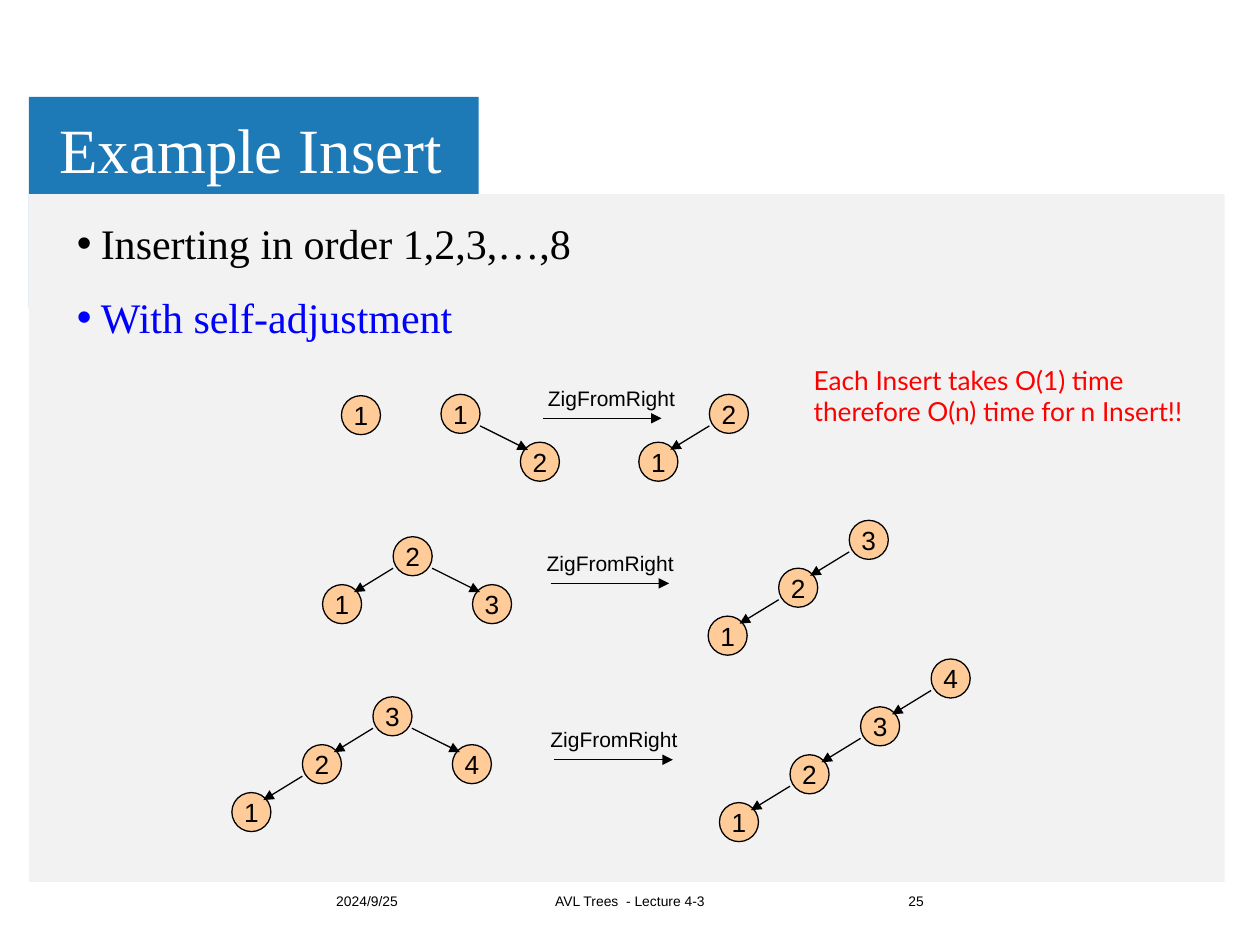
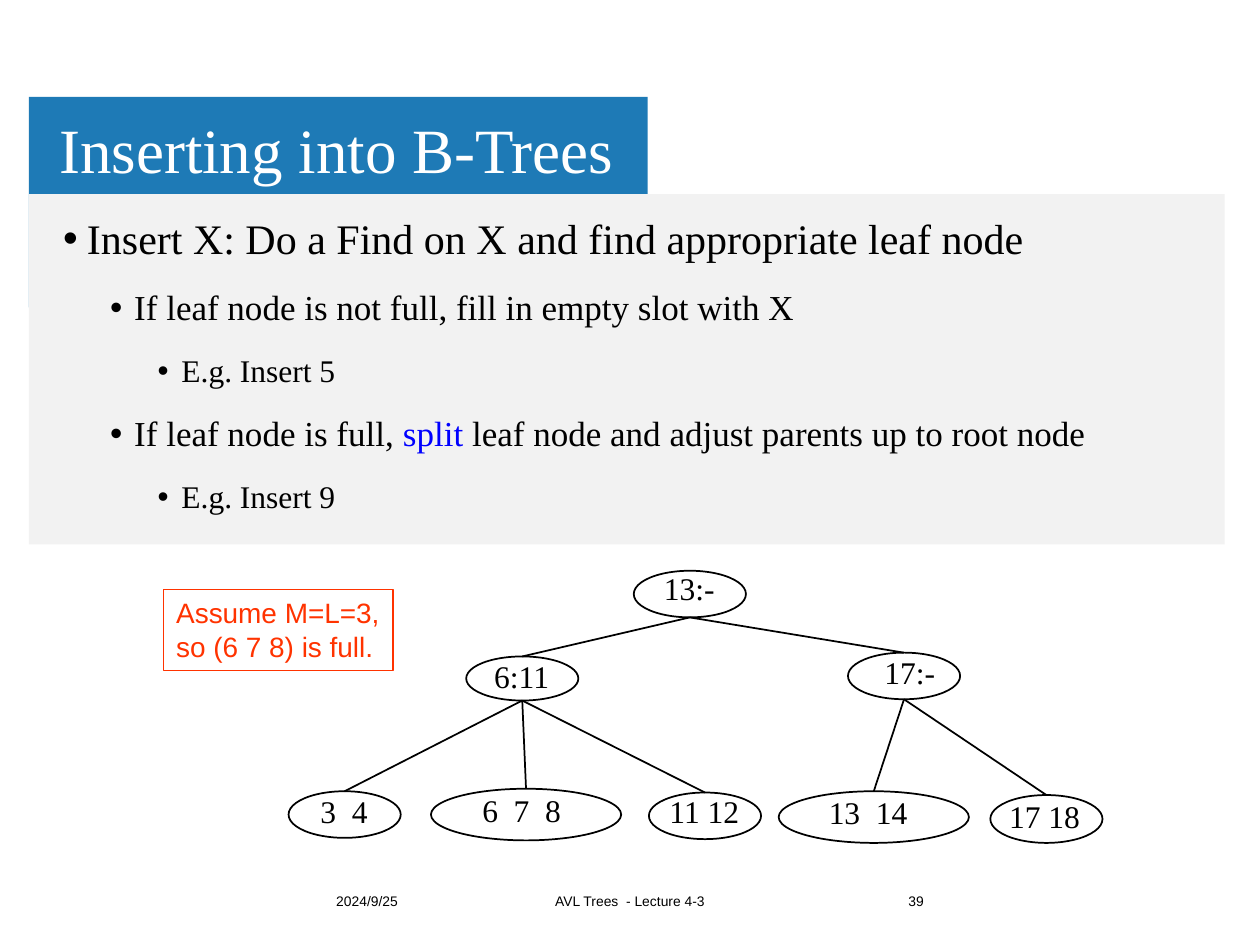
from dataclasses import dataclass
from typing import NamedTuple

import lxml.etree
import pptx
import pptx.dml.color
import pptx.enum.shapes
import pptx.enum.text
import pptx.oxml.ns
import pptx.util

Inches = pptx.util.Inches
Pt = pptx.util.Pt
RGBColor = pptx.dml.color.RGBColor
Align = pptx.enum.text.PP_ALIGN
Anchor = pptx.enum.text.MSO_ANCHOR
Shape = pptx.enum.shapes.MSO_SHAPE

BLACK = RGBColor(0x00, 0x00, 0x00)
WHITE = RGBColor(0xFF, 0xFF, 0xFF)
BAND_BLUE = RGBColor(0x1E, 0x7A, 0xB6)
PANEL_GREY = RGBColor(0xF2, 0xF2, 0xF2)
NODE_ORANGE = RGBColor(0xFF, 0xCC, 0x99)
BLUE = RGBColor(0x00, 0x00, 0xFF)
RED = RGBColor(0xFF, 0x00, 0x00)
ORANGE_RED = RGBColor(0xFF, 0x33, 0x00)

SERIF = "Times New Roman"
SANS = "Arial"
NOTE_FONT = "Lato"

BULLET_SIZES = (24, 20, 18)
BULLET_HANG = 0.19
LEVEL_STEP = 0.375

NODE_SIZE = 0.31
CHILD_DROP = 0.38
LEFT_STEP = 0.56
RIGHT_STEP = 0.63
EDGE_START = 0.25
EDGE_INSET = 0.06

LABEL_WIDTH = 0.82


class Frame(NamedTuple):
    left: float
    top: float
    width: float
    height: float


class Span(NamedTuple):
    text: str
    color: RGBColor = BLACK


class Bullet(NamedTuple):
    level: int
    spans: tuple[Span, ...]


class Tree(NamedTuple):
    """A root, its chain of left children and perhaps one right child."""
    left: float
    top: float
    left_chain: str
    right_child: str = ""


class Rotation(NamedTuple):
    label_left: float
    label_top: float
    arrow_left: float


@dataclass
class BTreeNode:
    frame: Frame
    keys: str
    label_center: float
    label_top: float
    children: tuple["BTreeNode", ...] = ()


def place(shape, frame: Frame) -> None:
    shape.left, shape.top, shape.width, shape.height = map(Inches, frame)


def format_text(box, font: str, size: float, color: RGBColor,
                align=Align.LEFT, spacing: float | None = None) -> None:
    for para in box.text_frame.paragraphs:
        para.alignment = align
        if spacing:
            para.line_spacing = spacing
        for span in para.runs:
            span.font.name = font
            span.font.size = Pt(size)
            span.font.color.rgb = color


def set_margins(box, side: float, end: float) -> None:
    frame = box.text_frame
    frame.margin_left = frame.margin_right = Inches(side)
    frame.margin_top = frame.margin_bottom = Inches(end)


def add_text(page, frame: Frame, text: str, font: str, size: float,
             color: RGBColor = BLACK, align=Align.LEFT,
             spacing: float | None = None, wrap: bool = True):
    box = page.shapes.add_textbox(*map(Inches, frame))
    box.text_frame.text = text
    box.text_frame.word_wrap = wrap
    format_text(box, font, size, color, align, spacing)
    return box


def add_shape(page, kind, frame: Frame, fill: RGBColor | None = None,
              line_width: float | None = None):
    shape = page.shapes.add_shape(kind, *map(Inches, frame))
    shape.shadow.inherit = False
    if fill is None:
        shape.fill.background()
    else:
        shape.fill.solid()
        shape.fill.fore_color.rgb = fill
    if line_width is None:
        shape.line.fill.background()
    else:
        shape.line.color.rgb = BLACK
        shape.line.width = Pt(line_width)
    return shape


def add_line(page, start: tuple[float, float], end: tuple[float, float],
             width: float, arrow: bool = False) -> None:
    line = page.shapes.add_connector(
        pptx.enum.shapes.MSO_CONNECTOR.STRAIGHT,
        *map(Inches, (*start, *end)))
    line.line.color.rgb = BLACK
    line.line.width = Pt(width)
    properties = line.element.spPr
    qn = pptx.oxml.ns.qn
    if arrow:
        outline = properties.find(qn("a:ln"))
        lxml.etree.SubElement(outline, qn("a:tailEnd"), type="triangle")
    lxml.etree.SubElement(properties, qn("a:effectLst"))


def add_page(deck, title: str, title_width: float, panel_height: float,
             number: int):
    """Add a page with its title band, grey panel, title and footer."""
    page = deck.slides.add_slide(deck.slide_layouts[1])
    add_shape(page, Shape.RECTANGLE, Frame(0.23, 0.77, title_width, 1.67), BAND_BLUE)
    add_shape(page, Shape.RECTANGLE, Frame(0.23, 1.54, 9.49, panel_height), PANEL_GREY)

    heading = page.shapes.title
    place(heading, Frame(0.4, 0.82, 6.28, 0.79))
    heading.text_frame.text = title
    heading.text_frame.auto_size = pptx.enum.text.MSO_AUTO_SIZE.NONE
    heading.text_frame.vertical_anchor = Anchor.MIDDLE
    set_margins(heading, 0.07, 0.04)
    format_text(heading, SERIF, 36, WHITE, spacing=0.9)
    for placeholder in list(page.placeholders):
        page.shapes.element.append(placeholder.element)  # in front of the bands

    footers = (
        (2.57, 1.27, "2024/9/25", Align.LEFT),
        (4.05, 1.9, "AVL Trees  - Lecture 4-3", Align.CENTER),
        (6.16, 1.27, str(number), Align.RIGHT),
    )
    for left, width, text, align in footers:
        box = add_text(page, Frame(left, 6.95, width, 0.4), text, SANS, 7.9, align=align)
        box.text_frame.vertical_anchor = Anchor.MIDDLE
    return page


def fill_body(page, frame: Frame, bullets: tuple[Bullet, ...],
              space_before: float, spacing: float) -> None:
    body = page.placeholders[1]
    place(body, frame)
    text_frame = body.text_frame
    text_frame.auto_size = pptx.enum.text.MSO_AUTO_SIZE.NONE
    for index, bullet in enumerate(bullets):
        para = text_frame.add_paragraph() if index else text_frame.paragraphs[0]
        para.level = bullet.level
        properties = para._p.get_or_add_pPr()
        indent = BULLET_HANG + bullet.level * LEVEL_STEP
        properties.set("marL", str(Inches(indent)))
        properties.set("indent", str(-Inches(BULLET_HANG)))
        lxml.etree.SubElement(properties, pptx.oxml.ns.qn("a:buChar"), char="•")
        para.line_spacing = spacing
        para.space_before = Pt(space_before if index else 0)
        for text, color in bullet.spans:
            span = para.add_run()
            span.text = text
            span.font.name = SERIF
            span.font.size = Pt(BULLET_SIZES[bullet.level])
            span.font.color.rgb = color


def add_key(page, left: float, top: float, key: str) -> None:
    node = add_shape(page, Shape.OVAL, Frame(left, top, NODE_SIZE, NODE_SIZE),
                     NODE_ORANGE, 0.75)
    node.text_frame.text = key
    node.text_frame.word_wrap = False
    node.text_frame.vertical_anchor = Anchor.MIDDLE
    format_text(node, SANS, 15, BLACK, Align.CENTER)


def draw_tree(page, tree: Tree) -> None:
    for depth, key in enumerate(tree.left_chain):
        left = tree.left - depth * LEFT_STEP
        top = tree.top + depth * CHILD_DROP
        add_key(page, left, top, key)
        if depth:
            add_line(page,
                     (left + LEFT_STEP, top - CHILD_DROP + EDGE_START),
                     (left + EDGE_START, top + EDGE_INSET), 0.75, arrow=True)
    if tree.right_child:
        left, top = tree.left + RIGHT_STEP, tree.top + CHILD_DROP
        add_key(page, left, top, tree.right_child)
        add_line(page, (tree.left + NODE_SIZE, tree.top + EDGE_START),
                 (left + EDGE_INSET, top + EDGE_INSET), 0.75, arrow=True)


def draw_rotation(page, rotation: Rotation) -> None:
    add_text(page, Frame(rotation.label_left, rotation.label_top, 1.21, 0.3),
             "ZigFromRight", SANS, 12, wrap=False)
    height = rotation.label_top + 0.31
    add_line(page, (rotation.arrow_left, height),
             (rotation.arrow_left + 0.94, height), 0.75, arrow=True)


def draw_b_tree(page, node: BTreeNode) -> None:
    frame = node.frame
    add_shape(page, Shape.OVAL, frame, line_width=1)
    label = add_text(
        page, Frame(node.label_center - LABEL_WIDTH / 2, node.label_top, LABEL_WIDTH, 0.28),
        node.keys, SERIF, 18, align=Align.CENTER, spacing=0.85)
    set_margins(label, 0, 0)
    for child in node.children:
        add_line(page, (frame.left + frame.width / 2, frame.top + frame.height),
                 (child.frame.left + child.frame.width / 2, child.frame.top), 1)
        draw_b_tree(page, child)


def build_example_insert(deck) -> None:
    page = add_page(deck, "Example Insert", 3.57, 5.46, 25)
    bullets = (
        Bullet(0, (Span("Inserting in order 1,2,3,…,8"),)),
        Bullet(0, (Span("With self-adjustment", BLUE),)),
    )
    fill_body(page, Frame(0.51, 1.68, 8.85, 1.3), bullets, 13.5, 1.0)
    trees = (
        Tree(2.71, 3.14, "1"), Tree(3.5, 3.13, "1", "2"), Tree(5.63, 3.13, "21"),
        Tree(3.12, 4.26, "21", "3"), Tree(6.74, 4.13, "321"),
        Tree(2.96, 5.53, "321", "4"), Tree(7.39, 5.23, "4321"),
    )
    for tree in trees:
        draw_tree(page, tree)
    for rotation in (Rotation(4.25, 3.01, 4.31), Rotation(4.24, 4.32, 4.37),
                     Rotation(4.27, 5.72, 4.4)):
        draw_rotation(page, rotation)
    add_text(page, Frame(6.36, 2.84, 3.56, 0.6),
             "Each Insert takes O(1) time therefore O(n) time for n Insert!!",
             NOTE_FONT, 15, RED)


def build_b_tree_insert(deck) -> None:
    page = add_page(deck, "Inserting into B-Trees", 4.91, 2.78, 39)
    bullets = (
        Bullet(0, (Span("Insert X: Do a Find on X and find appropriate leaf node"),)),
        Bullet(1, (Span("If leaf node is not full, fill in empty slot with X"),)),
        Bullet(2, (Span("E.g. Insert 5"),)),
        Bullet(1, (Span("If leaf node is full, "), Span("split", BLUE),
                   Span(" leaf node and adjust parents up to root node"))),
        Bullet(2, (Span("E.g. Insert 9"),)),
    )
    fill_body(page, Frame(0.4, 1.68, 9.08, 4.73), bullets, 15.5, 0.9)
    low_leaves = (
        BTreeNode(Frame(2.29, 6.28, 0.89, 0.37), "3  4", 2.73, 6.33),
        BTreeNode(Frame(3.42, 6.26, 1.51, 0.41), "6  7  8", 4.14, 6.32),
        BTreeNode(Frame(5.15, 6.29, 0.89, 0.37), "11 12", 5.59, 6.33),
    )
    high_leaves = (
        BTreeNode(Frame(6.18, 6.28, 1.51, 0.41), "13  14", 6.89, 6.34),
        BTreeNode(Frame(7.86, 6.31, 0.89, 0.38), "17 18", 8.29, 6.37),
    )
    low = BTreeNode(Frame(3.7, 5.21, 0.89, 0.35), "6:11", 4.14, 5.26, low_leaves)
    high = BTreeNode(Frame(6.73, 5.18, 0.89, 0.37), "17:-", 7.22, 5.23, high_leaves)
    draw_b_tree(page, BTreeNode(Frame(5.03, 4.53, 0.89, 0.37), "13:-", 5.47, 4.56, (low, high)))
    note = add_text(page, Frame(1.3, 4.68, 1.82, 0.64),
                    "Assume M=L=3,\nso (6 7 8) is full.", SANS, 16, ORANGE_RED, wrap=False)
    note.line.color.rgb = ORANGE_RED
    note.line.width = Pt(0.75)


def main() -> None:
    deck = pptx.Presentation()
    deck.slide_width, deck.slide_height = Inches(10), Inches(7.5)
    build_example_insert(deck)
    build_b_tree_insert(deck)
    deck.save("out.pptx")


if __name__ == "__main__":
    main()
